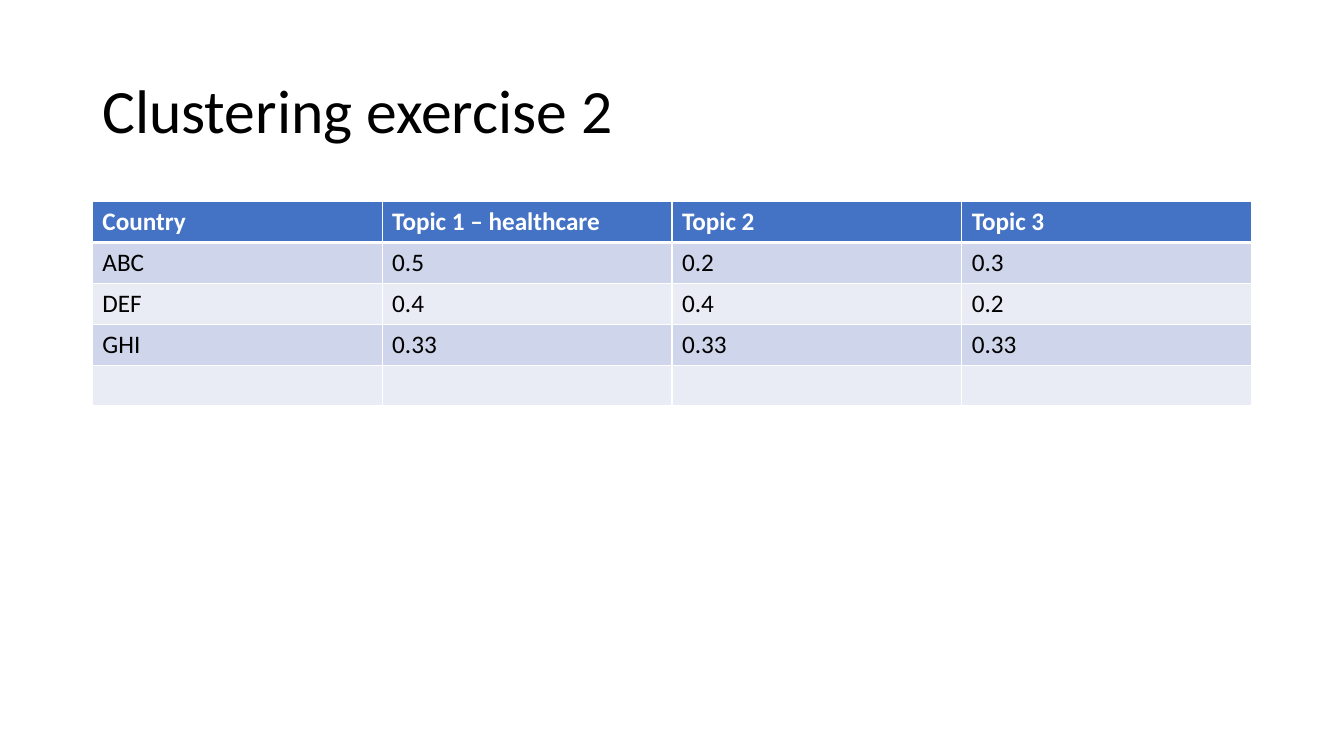
from lxml.etree import SubElement
from pptx import Presentation
from pptx.dml.color import RGBColor
from pptx.enum.text import MSO_ANCHOR
from pptx.oxml.ns import qn
from pptx.util import Pt

FONT = "Calibri"
BLACK = RGBColor(0x00, 0x00, 0x00)
WHITE = RGBColor(0xFF, 0xFF, 0xFF)
HEADER_BLUE = RGBColor(0x44, 0x72, 0xC4)
BANDS = (RGBColor(0xE9, 0xEB, 0xF5), RGBColor(0xCF, 0xD5, 0xEA))

TITLE = "Clustering exercise 2"
TOPIC_ROWS = (
    ("Country", "Topic 1 – healthcare", "Topic 2", "Topic 3"),
    ("ABC", "0.5", "0.2", "0.3"),
    ("DEF", "0.4", "0.4", "0.2"),
    ("GHI", "0.33", "0.33", "0.33"),
    ("", "", "", ""),
)


def format_font(font, size, color, bold=False):
    font.name, font.size, font.bold = FONT, Pt(size), bold
    font.color.rgb = color


def add_title(s, x, y, w, h):
    tf = s.shapes.add_textbox(Pt(x), Pt(y), Pt(w), Pt(h)).text_frame
    tf.word_wrap = True
    tf.vertical_anchor = MSO_ANCHOR.MIDDLE
    tf.text = TITLE
    p = tf.paragraphs[0]
    p.line_spacing = 0.9
    format_font(p.runs[0].font, 44, BLACK)


def set_borders(cell, **widths):
    tc_pr = cell._tc.get_or_add_tcPr()
    for side in "LRTB":
        ln = SubElement(tc_pr, qn(f"a:ln{side}"), w=str(Pt(widths.get(side, 1))))
        fill = SubElement(ln, qn("a:solidFill"))
        SubElement(fill, qn("a:srgbClr"), val=str(WHITE))


def add_topic_table(s, x, y, w, h):
    n_rows, n_cols = len(TOPIC_ROWS), len(TOPIC_ROWS[0])
    table = s.shapes.add_table(n_rows, n_cols, Pt(x), Pt(y), Pt(w), Pt(h)).table
    for i, row in enumerate(TOPIC_ROWS):
        header = i == 0
        for j, text in enumerate(row):
            cell = table.cell(i, j)
            # The line under the header is thicker
            set_borders(cell, T=3 if i == 1 else 1, B=3 if header else 1)
            cell.fill.solid()
            cell.fill.fore_color.rgb = HEADER_BLUE if header else BANDS[i % 2]
            cell.text_frame.text = text
            p = cell.text_frame.paragraphs[0]
            for r in p.runs:
                format_font(r.font, 18, WHITE if header else BLACK, header)


def main():
    prs = Presentation()
    prs.slide_width, prs.slide_height = Pt(960), Pt(540)
    s = prs.slides.add_slide(prs.slide_layouts[6])
    # Title and table share one left edge and width
    left, width = 66, 828
    add_title(s, left, 28.75, width, 104.4)
    add_topic_table(s, left, 144, width, 146)
    prs.save("out.pptx")


if __name__ == "__main__":
    main()
